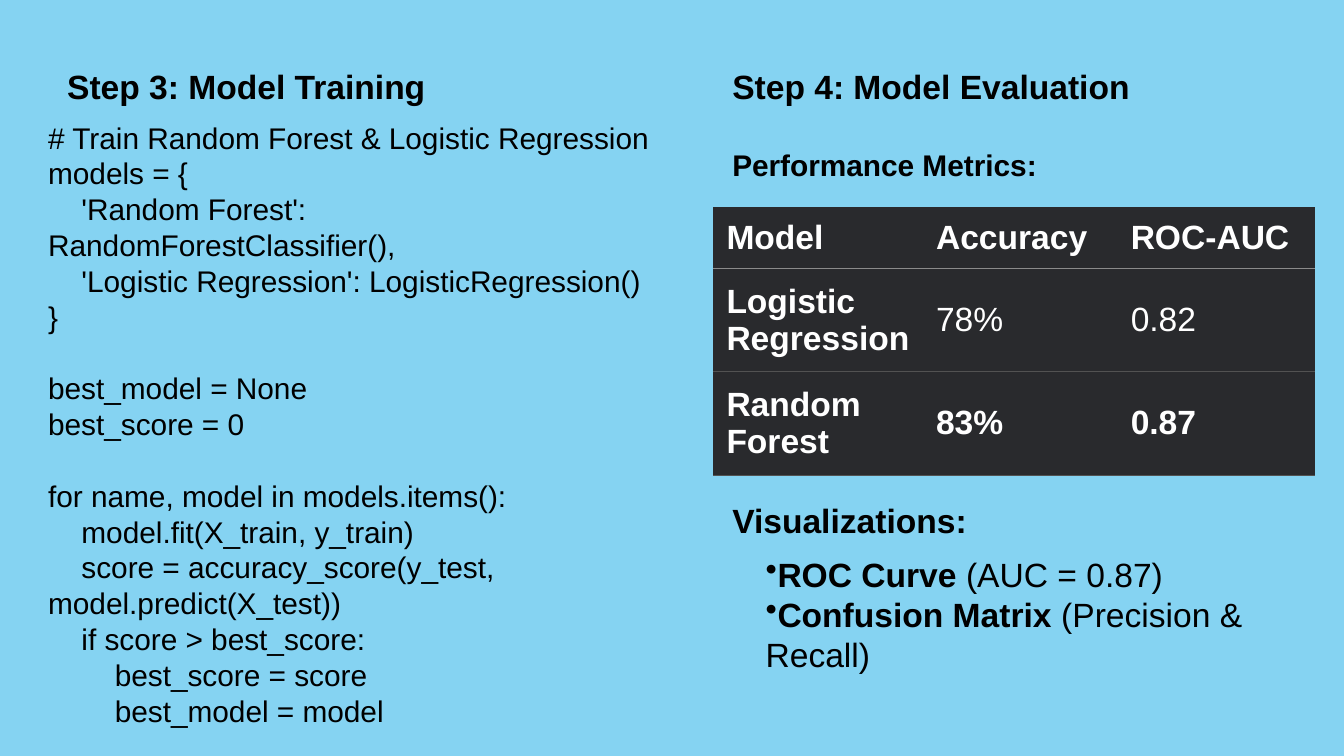
import pptx
import pptx.dml.color
import pptx.enum.text
import pptx.oxml
import pptx.oxml.ns
import pptx.util
from pptx.util import Cm

SKY = pptx.dml.color.RGBColor(0x85, 0xD3, 0xF2)
BLACK = pptx.dml.color.RGBColor(0, 0, 0)
WHITE = pptx.dml.color.RGBColor(255, 255, 255)
CHARCOAL = pptx.dml.color.RGBColor(0x29, 0x2A, 0x2D)
HEADER_RULE = pptx.dml.color.RGBColor(0x8B, 0x8B, 0x8B)
ROW_RULE = pptx.dml.color.RGBColor(0x52, 0x52, 0x52)

PLAIN_TABLE_STYLE = "{2D5ABB26-0587-4C30-8999-92F81FD0307C}"
CODE_INDENT = Cm(0.63)

TRAINING_CODE = [
    (0, 0, "# Train Random Forest & Logistic Regression"),
    (0, 0, "models = {"),
    (1, 0, "'Random Forest': RandomForestClassifier(),"),
    (1, 0, "'Logistic Regression': LogisticRegression()"),
    (0, 0, "}"),
    (0, 1, "best_model = None"),
    (0, 0, "best_score = 0"),
    (0, 1, "for name, model in models.items():"),
    (1, 0, "model.fit(X_train, y_train)"),
    (1, 0, "score = accuracy_score(y_test, model.predict(X_test))"),
    (1, 0, "if score > best_score:"),
    (2, 0, "best_score = score"),
    (2, 0, "best_model = model"),
]

METRICS = [
    ("Model", "Accuracy", "ROC-AUC"),
    ("Logistic Regression", "78%", "0.82"),
    ("Random Forest", "83%", "0.87"),
]


def apply(target, formats):
    for name, value in formats.items():
        setattr(target, name, value)


class SlideWriter:
    font_name = "Arial"
    rule_width = pptx.util.Pt(0.72)

    def __init__(self, slide):
        self.slide = slide
        slide.background.fill.solid()
        slide.background.fill.fore_color.rgb = SKY

    def paragraph(self, paragraph, runs, size=18, color=BLACK, leading=1.2,
                  gap=0, indent=0, bullet=None):
        apply(paragraph, {
            "line_spacing": pptx.util.Pt(round(size * leading, 1)),
            "space_before": pptx.util.Pt(gap),
        })
        properties = paragraph._p.get_or_add_pPr()
        properties.set("marL", "0")
        properties.set("indent", str(int(indent)))
        if bullet:
            mark = pptx.oxml.ns.qn("a:buChar")
            properties.append(properties.makeelement(mark, {"char": bullet}))
        for words, bold in runs:
            run = paragraph.add_run()
            run.text = words
            apply(run.font, {"name": self.font_name, "bold": bold,
                             "size": pptx.util.Pt(size)})
            run.font.color.rgb = color

    def text(self, left, top, width, height, paragraphs, wrap=True):
        box = self.slide.shapes.add_textbox(Cm(left), Cm(top), Cm(width), Cm(height))
        frame = box.text_frame
        apply(frame, {"word_wrap": wrap,
                      "auto_size": pptx.enum.text.MSO_AUTO_SIZE.SHAPE_TO_FIT_TEXT})
        for index, formats in enumerate(paragraphs):
            target = frame.add_paragraph() if index else frame.paragraphs[0]
            self.paragraph(target, **formats)

    def rule(self, cell, side, color):
        cell._tc.get_or_add_tcPr().insert(0, pptx.oxml.parse_xml(
            f'<a:{side} {pptx.oxml.ns.nsdecls("a")} w="{int(self.rule_width)}">'
            f'<a:solidFill><a:srgbClr val="{color}"/></a:solidFill></a:{side}>'))

    def table(self, left, top, widths, heights, rows):
        frame = self.slide.shapes.add_table(
            len(rows), len(widths), Cm(left), Cm(top), Cm(sum(widths)), Cm(sum(heights)))
        grid = frame.table
        apply(grid, {"horz_banding": False, "first_row": True})
        grid._tbl.tblPr.find(pptx.oxml.ns.qn("a:tableStyleId")).text = PLAIN_TABLE_STYLE
        for column, width in zip(grid.columns, widths):
            column.width = Cm(width)
        for row, height in zip(grid.rows, heights):
            row.height = Cm(height)
        last = len(rows) - 1
        for r, row in enumerate(rows):
            for c, words in enumerate(row):
                cell = grid.cell(r, c)
                apply(cell, {
                    "margin_left": Cm(0.2 if c else 0.25),
                    "margin_right": Cm(0.2),
                    "margin_top": Cm(0.2),
                    "margin_bottom": Cm(0.2),
                    "vertical_anchor": pptx.enum.text.MSO_ANCHOR.MIDDLE,
                })
                cell.fill.solid()
                cell.fill.fore_color.rgb = CHARCOAL
                self.rule(cell, "lnB", ROW_RULE if r else HEADER_RULE)
                if r:
                    self.rule(cell, "lnT", HEADER_RULE if r == 1 else ROW_RULE)
                bold = r in (0, last) or c == 0
                self.paragraph(cell.text_frame.paragraphs[0], [(words, bold)],
                               color=WHITE, leading=1.1)


def main():
    deck = pptx.Presentation()
    apply(deck, {"slide_width": Cm(25.4), "slide_height": Cm(14.29)})
    writer = SlideWriter(deck.slides.add_slide(deck.slide_layouts[6]))

    writer.text(1.02, 1.12, 7.34, 1.02,
                [{"runs": [("Step 3: Model Training", True)]}], wrap=False)
    writer.text(0.66, 2.13, 12.06, 11.89, [
        {"runs": [(line, False)], "size": 16,
         "indent": level * CODE_INDENT, "gap": blank * 19.2}
        for level, blank, line in TRAINING_CODE])

    writer.text(13.59, 1.12, 8.1, 2.49, [
        {"runs": [("Step 4: Model Evaluation", True)]},
        {"runs": [("Performance Metrics:", True)], "size": 16, "gap": 21.6},
    ], wrap=False)
    writer.table(13.48, 3.91, [4.01, 3.68, 3.68], [1.17, 1.95, 1.95], METRICS)

    writer.text(13.59, 9.32, 4.98, 1.02,
                [{"runs": [("Visualizations:", True)]}], wrap=False)
    writer.text(14.22, 10.34, 9.88, 2.57, [
        {"runs": [(name, True), (detail, False)], "bullet": "•"}
        for name, detail in [
            ("ROC Curve", " (AUC = 0.87)"),
            ("Confusion Matrix", " (Precision & Recall)"),
        ]])

    deck.save("out.pptx")


if __name__ == "__main__":
    main()
